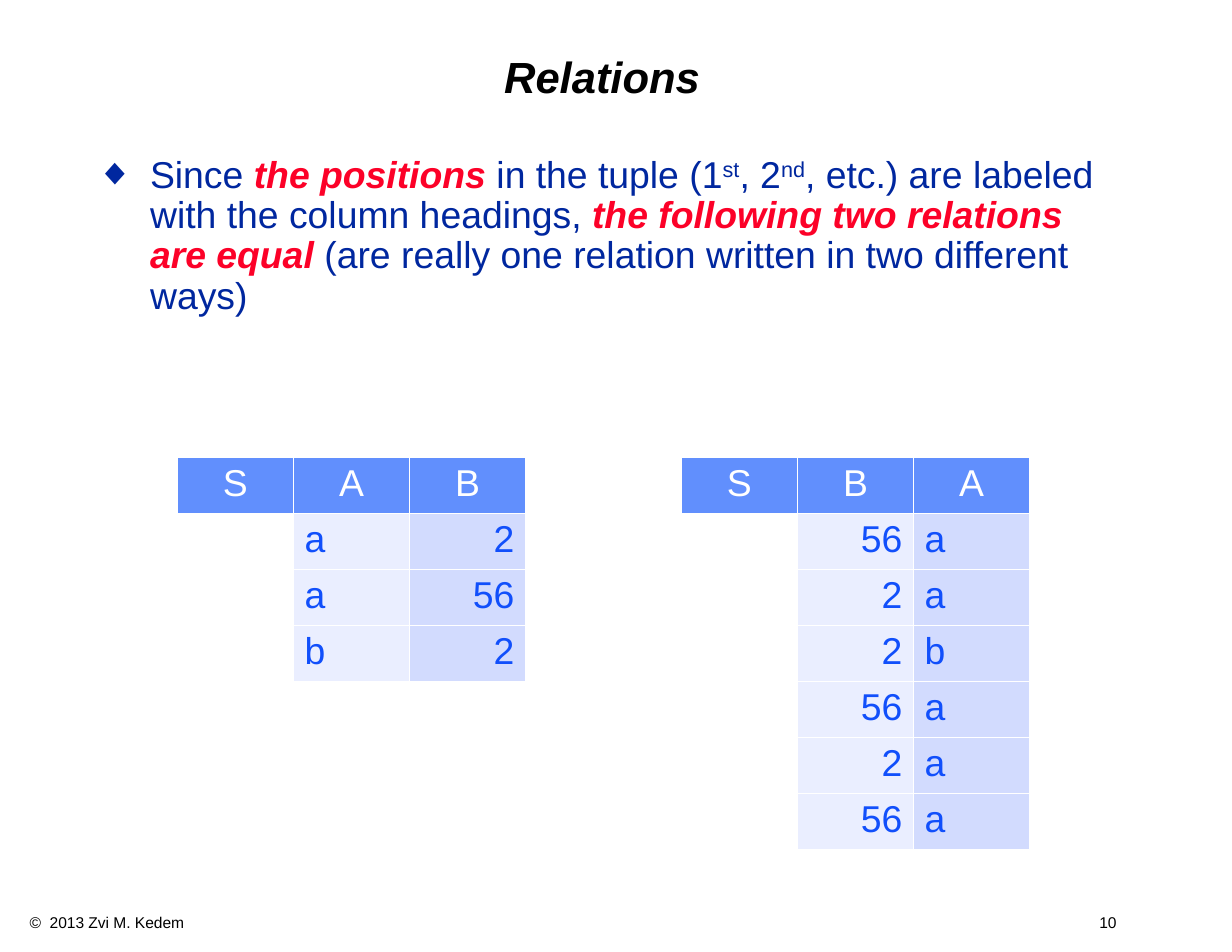
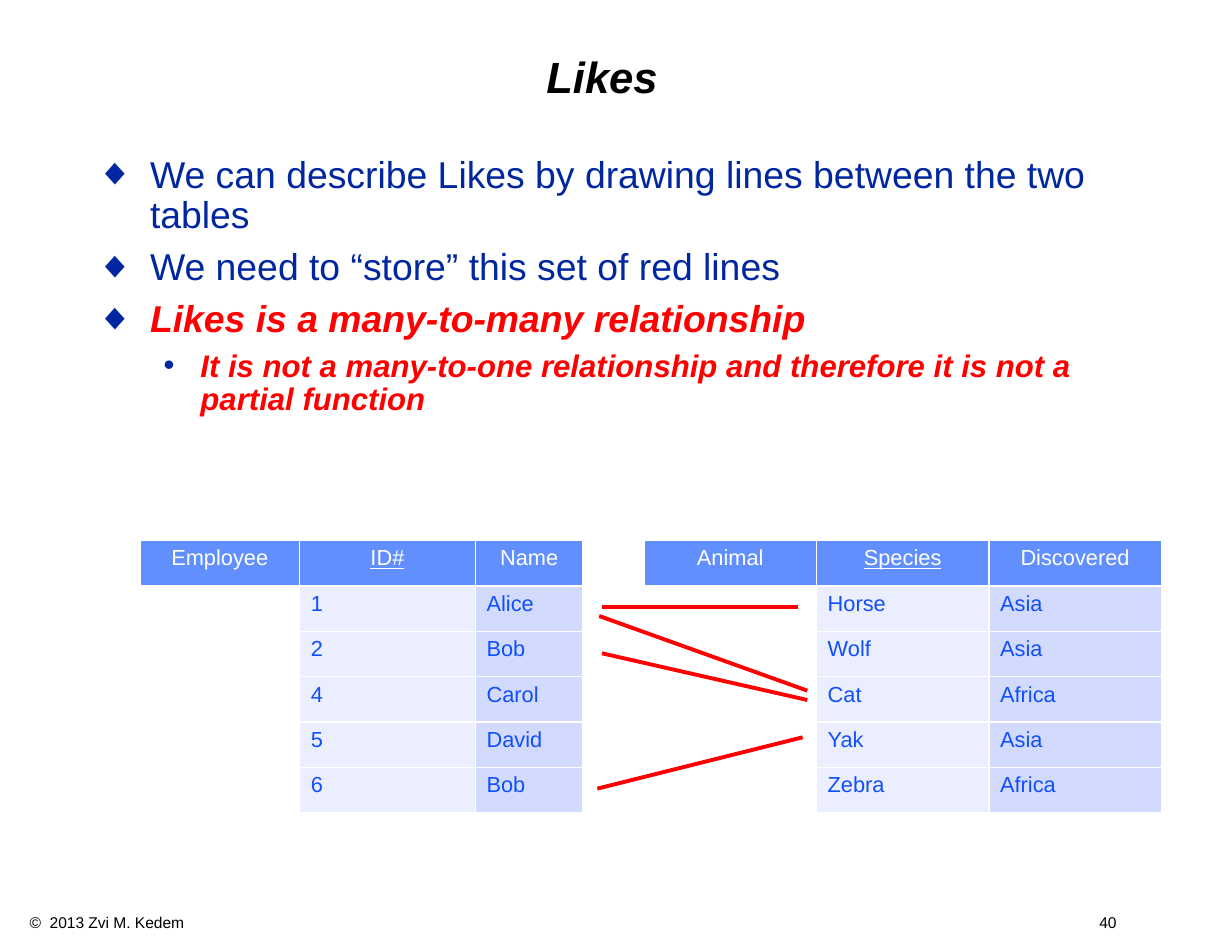
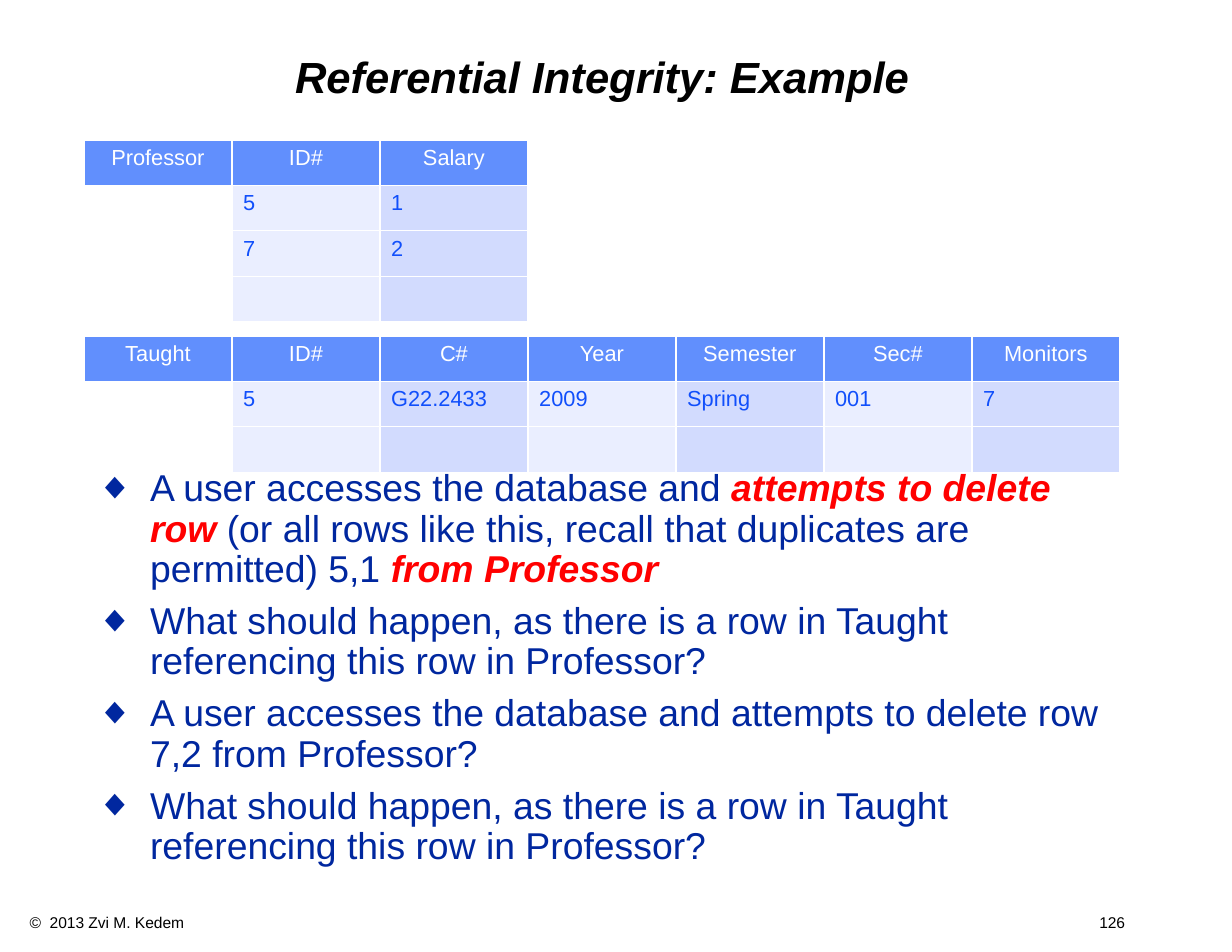
"""Build three slides on relations, many-to-many links and referential integrity."""
from lxml.etree import SubElement as Sub
from pptx import Presentation
from pptx.dml.color import RGBColor as RGB
from pptx.enum.shapes import MSO_CONNECTOR as Link
from pptx.enum.text import MSO_ANCHOR as Anchor, MSO_AUTO_SIZE as Auto, PP_ALIGN as Align
from pptx.oxml.ns import qn
from pptx.util import Inches, Pt

BLACK = RGB(0x00, 0x00, 0x00)
WHITE = RGB(0xFF, 0xFF, 0xFF)
NAVY = RGB(0x00, 0x27, 0x9F)
CRIMSON = RGB(0xFC, 0x01, 0x28)
RED = RGB(0xFF, 0x00, 0x00)
HEAD = RGB(0x61, 0x8F, 0xFD)
CELL = RGB(0x11, 0x4F, 0xFB)
PALE = RGB(0xEA, 0xEE, 0xFF)
TINT = RGB(0xD2, 0xDB, 0xFE)

UNIT = Inches(1) / 12
ROW = 4.87
BASE = 96
LEVELS = [("◆", 0.48, -0.48, 24, 7.5), ("•", 0.93, -0.33, 20, 6.2)]

ASK = "What should happen, as there is a row in Taught referencing this row in Professor?"
PAGES = [
    {
        "title": "Relations", "num": 10, "top": 16, "size": 24, "keys": [],
        "body": [
            (0, [("Since ", None), ("the positions ", CRIMSON), ("in the tuple (1", None),
                 ("st", "sup"), (", 2", None), ("nd", "sup"),
                 (", etc.) are labeled with the column headings, ", None),
                 ("the following two relations are equal ", CRIMSON),
                 ("(are really one relation written in two different ways)", None)]),
        ],
        "tables": [
            (19, 49, [12.44] * 3, ["S A B", "- a 2", "- a 56", "- b 2"]),
            (73, 49, [12.44] * 3, ["S B A", "- 56 a", "- 2 a", "- 2 b",
                                   "- 56 a", "- 2 a", "- 56 a"]),
        ],
        "lines": [],
    },
    {
        "title": "Likes", "num": 40, "top": 16, "size": 14, "keys": ["ID#", "Species"],
        "body": [
            (0, [("We can describe Likes by drawing lines between the two tables", None)]),
            (0, [("We need to “store” this set of red lines", None)]),
            (0, [("Likes is a many-to-many relationship", RED)]),
            (1, [("It is not a many-to-one relationship and therefore it is not "
                  "a partial function", RED)]),
        ],
        "tables": [
            (69, 57.9, [18.48] * 3, ["Animal Species Discovered", "- Horse Asia", "- Wolf Asia",
                                     "- Cat Africa", "- Yak Asia", "- Zebra Africa"]),
            (15, 57.9, [17.1, 18.84, 11.52], ["Employee ID# Name", "- 1 Alice", "- 2 Bob",
                                              "- 4 Carol", "- 5 David", "- 6 Bob"]),
        ],
        "lines": [(64.2, 66, 86.5, 74), (64.5, 70, 86.5, 75),
                  (64, 84.5, 86, 79), (64.5, 65, 85.5, 65)],
    },
    {
        "title": "Referential Integrity: Example", "num": 126, "top": 49.6, "size": 14, "keys": [],
        "body": [
            (0, [("A user accesses the database and ", None), ("attempts to delete row ", RED),
                 ("(or all rows like this, recall that duplicates are permitted) 5,1 ", None),
                 ("from Professor", RED)]),
            (0, [(ASK, None)]),
            (0, [("A user accesses the database and attempts to delete row 7,2 "
                  "from Professor?", None)]),
            (0, [(ASK, None)]),
        ],
        "tables": [
            (9, 36, [111 / 7] * 7, ["Taught ID# C# Year Semester Sec# Monitors",
                                    "- 5 G22.2433 2009 Spring 001 7", "- - - - - - -"]),
            (9, 15, [111 / 7] * 3, ["Professor ID# Salary", "- 5 1", "- 7 2", "- - -"]),
        ],
        "lines": [],
    },
]


def span(*units):
    """Turn grid units into lengths."""
    return [round(n * UNIT) for n in units]


def style(para, size, color, bold=False):
    """Set the font of a whole paragraph."""
    font = para.font
    font.name, font.size, font.bold = "Arial", Pt(size), bold
    font.color.rgb = color


deck = Presentation()
deck.slide_width, deck.slide_height = span(132, 102)

for page in PAGES:
    slide = deck.slides.add_slide(deck.slide_layouts[6])
    shapes = slide.shapes

    foot = shapes.add_textbox(*span(2, 97.2, 124, 3.2)).text_frame
    foot.word_wrap, foot.auto_size = True, Auto.SHAPE_TO_FIT_TEXT
    para = foot.paragraphs[0]
    para.text = f"©  2013 Zvi M. Kedem\t{page['num']}"
    tabs = Sub(para._p.get_or_add_pPr(), qn("a:tabLst"))
    Sub(tabs, qn("a:tab"), pos=str(Inches(9.55)), algn="l")
    style(para, 10, BLACK)

    title = shapes.add_textbox(*span(9, 3, 111, 11)).text_frame
    body = shapes.add_textbox(*span(9, page["top"], 112, BASE - page["top"])).text_frame
    for frame in (title, body):
        frame.word_wrap = True
        frame.margin_left = frame.margin_right = Inches(0.11)
        frame.margin_top = frame.margin_bottom = Inches(0.06)
    title.vertical_anchor = Anchor.MIDDLE
    para = title.paragraphs[0]
    para.text, para.alignment, para.line_spacing = page["title"], Align.CENTER, 0.9
    style(para, 28, BLACK, True)
    para.font.italic = True

    for i, (level, runs) in enumerate(page["body"]):
        mark, left, dent, size, gap = LEVELS[level]
        para = body.paragraphs[0] if i == 0 else body.add_paragraph()
        para.level = level
        props = para._p.get_or_add_pPr()
        props.set("marL", str(Inches(left)))
        props.set("indent", str(Inches(dent)))
        Sub(Sub(props, qn("a:buClr")), qn("a:srgbClr"), val=str(NAVY))
        Sub(props, qn("a:buFont"), typeface="Arial")
        Sub(props, qn("a:buChar"), char=mark)
        para.line_spacing = 0.9
        para.space_before = Pt(gap if i else 0)
        style(para, size, NAVY)
        for words, look in runs:
            run = para.add_run()
            run.text = words
            if look == "sup":
                run._r.get_or_add_rPr().set("baseline", "30000")
            elif look:
                run.font.bold = run.font.italic = True
                run.font.color.rgb = look

    for x, y, cols, rows in page["tables"]:
        table = shapes.add_table(len(rows), len(cols),
                                 *span(x, y, sum(cols), ROW * len(rows))).table
        table.horz_banding = False
        for col, wide in zip(table.columns, cols):
            col.width, = span(wide)
        for r, line in enumerate(rows):
            table.rows[r].height, = span(ROW)
            for c, word in enumerate(line.split()):
                cell = table.cell(r, c)
                cell.fill.solid()
                cell.fill.fore_color.rgb = (HEAD if r == 0 else WHITE if c == 0
                                            else PALE if c % 2 else TINT)
                if word == "-":
                    continue
                para = cell.text_frame.paragraphs[0]
                para.text = word
                style(para, page["size"], CELL if r else WHITE)
                if r == 0:
                    para.alignment = Align.CENTER
                    para.font.underline = word in page["keys"]
                elif page["size"] == 24 and word.isdigit():
                    para.alignment = Align.RIGHT

    for ends in page["lines"]:
        wire = shapes.add_connector(Link.STRAIGHT, *span(*ends))
        wire.line.color.rgb, wire.line.width = RED, Pt(2.5)
        Sub(wire._element.spPr, qn("a:effectLst"))

deck.save("out.pptx")
